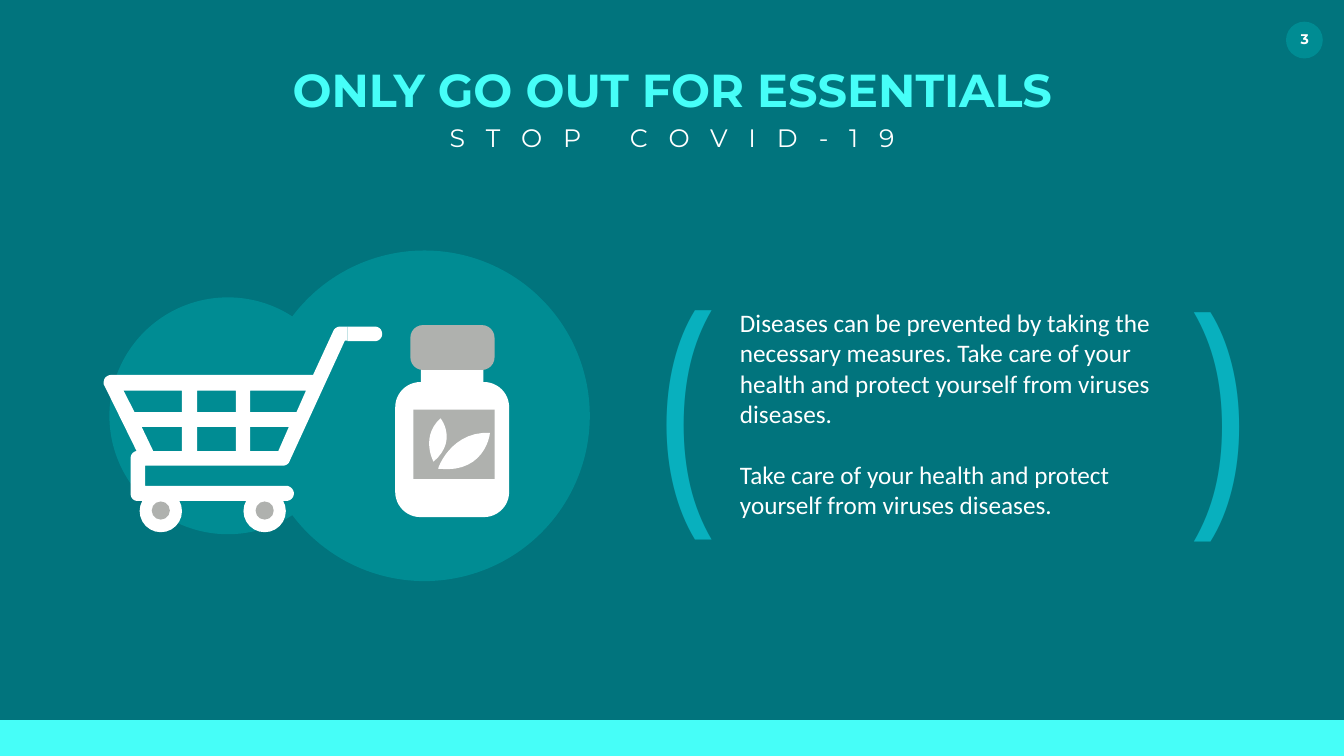
from pptx import Presentation
from pptx.dml.color import RGBColor
from pptx.enum import shapes, text
from pptx.util import Inches, Pt

TEAL = RGBColor(0x01, 0x74, 0x7D)
MID_TEAL = RGBColor(0x00, 0x8C, 0x93)
AQUA = RGBColor(0x46, 0xFE, 0xF8)
BLUE = RGBColor(0x08, 0xB0, 0xBE)
GREY = RGBColor(0xAF, 0xB1, 0xAE)
WHITE = RGBColor(0xFF, 0xFF, 0xFF)

RECT = shapes.MSO_SHAPE.RECTANGLE
ROUNDED = shapes.MSO_SHAPE.ROUNDED_RECTANGLE
OVAL = shapes.MSO_SHAPE.OVAL

CART_FRAME = [
    (2.07, 7.65), (2.71, 8.95), (2.64, 8.96, 2.59, 9.02, 2.59, 9.1),
    (2.59, 9.79), (2.59, 9.87, 2.64, 9.94, 2.73, 9.94),
    (5.68, 9.94), (5.76, 9.94, 5.83, 9.87, 5.83, 9.79),
    (5.83, 9.72, 5.76, 9.64, 5.68, 9.64), (2.88, 9.64), (2.88, 9.24),
    (5.61, 9.24), (5.67, 9.24, 5.73, 9.2, 5.74, 9.16),
    (6.84, 6.76), (6.89, 6.76), (6.89, 6.48), (6.75, 6.48),
    (6.69, 6.48, 6.65, 6.51, 6.62, 6.55), (6.21, 7.44), (2.21, 7.44),
    (2.15, 7.44, 2.1, 7.47, 2.07, 7.52), (2.06, 7.56, 2.04, 7.61, 2.07, 7.65),
]
CART_HANDLE = [
    (6.89, 6.48), (7.43, 6.48), (7.52, 6.48, 7.58, 6.54, 7.58, 6.63),
    (7.58, 6.7, 7.52, 6.77, 7.43, 6.77), (6.89, 6.77),
]
LARGE_LEAF = [
    (9.72, 8.59), (9.68, 8.88, 9.44, 9.39, 8.69, 9.3),
    (8.75, 9.11, 9.06, 8.55, 9.72, 8.59),
]
SMALL_LEAF = [
    (8.74, 8.3), (8.85, 8.45, 9, 8.82, 8.6, 9.16),
    (8.53, 9.03, 8.39, 8.61, 8.74, 8.3),
]
BASKET_ROWS = [
    (7.75, 8.18, 2.45, 2.67, 6.07, 5.88),
    (8.47, 8.95, 2.81, 3.04, 5.73, 5.52),
]


def paint(sp, color):
    sp.shadow.inherit = False
    sp.fill.solid()
    sp.fill.fore_color.rgb = color
    sp.line.fill.background()


def add_shape(s, kind, x, y, w, h, color, radius=None):
    sp = s.shapes.add_shape(kind, Inches(x), Inches(y), Inches(w), Inches(h))
    paint(sp, color)
    if radius is not None:
        sp.adjustments[0] = radius / min(w, h)


def add_circle(s, cx, cy, radius, color):
    add_shape(s, OVAL, cx - radius, cy - radius, 2 * radius, 2 * radius, color)


def flatten(steps, parts=12):
    points = [steps[0]]
    for step in steps[1:]:
        if len(step) == 2:
            points.append(step)
            continue
        controls = [points[-1], step[:2], step[2:4], step[4:]]
        for i in range(1, parts + 1):
            t = i / parts
            weights = ((1 - t) ** 3, 3 * t * (1 - t) ** 2, 3 * t * t * (1 - t), t ** 3)
            points.append(tuple(sum(k * c[axis] for k, c in zip(weights, controls))
                                for axis in (0, 1)))
    return points


def add_outline(s, color, *contours):
    builder = None
    for steps in contours:
        points = [(Inches(x), Inches(y)) for x, y in flatten(steps)]
        if builder is None:
            builder = s.shapes.build_freeform(*points[0])
        else:
            builder.move_to(*points[0])
        builder.add_line_segments(points[1:], close=True)
    paint(builder.convert_to_shape(), color)


def add_text(s, paragraphs, x, y, w, h, *, size, color, font="Montserrat",
             bold=False, align=text.PP_ALIGN.CENTER, wrap=False, gap=0, spacing=0):
    tf = s.shapes.add_textbox(Inches(x), Inches(y), Inches(w), Inches(h)).text_frame
    tf.word_wrap = wrap
    for i, content in enumerate(paragraphs):
        p = tf.add_paragraph() if i else tf.paragraphs[0]
        p.alignment = align
        if i:
            p.space_before = Pt(gap)
        r = p.add_run()
        r.text = content
        r.font.name = font
        r.font.size = Pt(size)
        r.font.bold = bold
        r.font.color.rgb = color
        if spacing:
            r._r.get_or_add_rPr().set("spc", str(spacing * 100))


def basket_holes():
    for top, bottom, left, low_left, right, low_right in BASKET_ROWS:
        yield [(left, top), (3.61, top), (3.61, bottom), (low_left, bottom)]
        yield [(3.91, top), (4.68, top), (4.68, bottom), (3.91, bottom)]
        yield [(4.96, top), (right, top), (low_right, bottom), (4.96, bottom)]


def add_cart(s):
    add_outline(s, WHITE, CART_FRAME, *basket_holes())
    add_outline(s, WHITE, CART_HANDLE)
    for cx in (3.19, 5.25):
        add_circle(s, cx, 10.14, 0.42, WHITE)
        add_circle(s, cx, 10.13, 0.18, GREY)


def add_bottle(s):
    add_shape(s, ROUNDED, 7.84, 7.58, 2.26, 2.68, WHITE, radius=0.5)
    add_shape(s, RECT, 8.35, 7.09, 1.24, 0.6, WHITE)
    add_shape(s, ROUNDED, 8.14, 6.45, 1.67, 0.89, GREY, radius=0.25)
    add_shape(s, RECT, 8.2, 8.13, 1.61, 1.37, GREY)
    add_outline(s, WHITE, LARGE_LEAF)
    add_outline(s, WHITE, SMALL_LEAF)


def main():
    prs = Presentation()
    prs.slide_width, prs.slide_height = Inches(26.66), Inches(15)
    s = prs.slides.add_slide(prs.slide_layouts[6])

    add_shape(s, RECT, 0, 0, 26.66, 15, TEAL)
    add_shape(s, RECT, 0, 14.29, 26.66, 0.71, AQUA)
    add_shape(s, OVAL, 25.51, 0.43, 0.73, 0.73, MID_TEAL)
    add_text(s, ["3"], 25.4, 0.55, 0.96, 0.54, size=20, color=WHITE, bold=True)

    add_text(s, ["ONLY GO OUT FOR ESSENTIALS"], 5.64, 1.17, 15.39, 1.21,
             size=66, color=AQUA, bold=True)
    add_text(s, ["STOP COVID-19"], 8.56, 2.37, 9.55, 0.71,
             size=36, color=WHITE, spacing=30)

    add_text(s, ["Diseases can be prevented by taking the necessary measures. "
                 "Take care of your health and protect yourself from viruses diseases.",
                 "Take care of your health and protect yourself from viruses diseases."],
             14.58, 6.05, 9.22, 4.34, size=36, color=WHITE, font="Calibri",
             align=text.PP_ALIGN.LEFT, wrap=True, gap=44)
    for bracket, x, y in ((")", 23.39, 4.9), ("(", 12.63, 4.87)):
        add_text(s, [bracket], x, y, 1.78, 5.99, size=350, color=BLUE)

    add_circle(s, 4.52, 8.25, 2.35, MID_TEAL)
    add_circle(s, 8.42, 8.25, 3.28, MID_TEAL)
    add_cart(s)
    add_bottle(s)

    prs.save("out.pptx")


if __name__ == "__main__":
    main()
